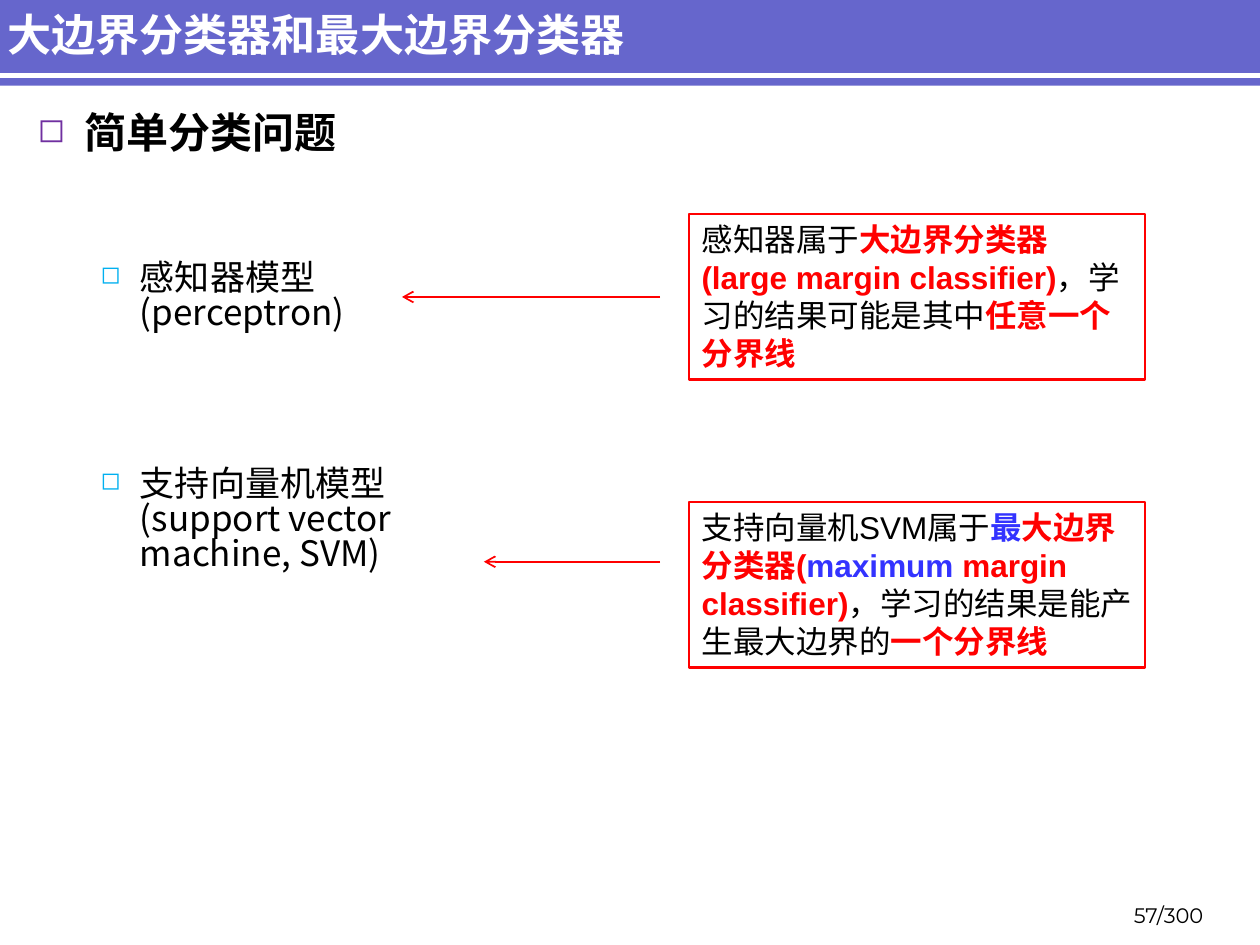
from lxml import etree
from pptx import Presentation
from pptx import util as u
from pptx.dml import color
from pptx.enum import shapes, text
from pptx.oxml import ns

Pt = u.Pt
COLORS = {"bar": "6666CC", "white": "FFFFFF", "black": "000000", "red": "FF0000",
          "blue": "3333FF", "purple": "7030A0", "sky": "00B0F0"}
CJK = "Noto Sans CJK SC"


def rgb(name):
    return color.RGBColor.from_string(COLORS[name])


def add_element(parent, tag, **attributes):
    return etree.SubElement(parent, ns.qn(tag), attributes)


def add_bullet(paragraph, bullet_color, percent, left, hanging):
    properties = paragraph._p.get_or_add_pPr()
    properties.set("marL", str(Pt(left)))
    properties.set("indent", str(-Pt(hanging)))
    fill = add_element(properties, "a:buClr")
    add_element(fill, "a:srgbClr", val=COLORS[bullet_color])
    add_element(properties, "a:buSzPct", val=str(percent * 1000))
    add_element(properties, "a:buChar", char="◻")


def write(paragraph, content, size=18, font=CJK, ink="black", bold=False):
    run = paragraph.add_run()
    run.text = content
    run.font.size = Pt(size)
    run.font.bold = bold
    run.font.color.rgb = rgb(ink)
    run.font.name = font
    add_element(run._r.get_or_add_rPr(), "a:ea", typeface=font)


def add_text_box(slide, left, top, width, height, anchor=text.MSO_ANCHOR.TOP):
    frame = slide.shapes.add_textbox(Pt(left), Pt(top), Pt(width), Pt(height)).text_frame
    frame.word_wrap = True
    frame.vertical_anchor = anchor
    return frame


def add_rectangle(slide, left, top, width, height):
    shape = slide.shapes.add_shape(shapes.MSO_SHAPE.RECTANGLE,
                                   Pt(left), Pt(top), Pt(width), Pt(height))
    shape.shadow.inherit = False
    return shape


def add_line(slide, start_x, end_x, y, ink, width, arrow=False):
    line = slide.shapes.add_connector(shapes.MSO_CONNECTOR.STRAIGHT,
                                      Pt(start_x), Pt(y), Pt(end_x), Pt(y))
    line.line.color.rgb = rgb(ink)
    line.line.width = Pt(width)
    if arrow:
        add_element(line.line._get_or_add_ln(), "a:tailEnd", type="arrow")
    add_element(line._element.spPr, "a:effectLst")


def add_title_bar(slide, left, top, width, height, title):
    bar = add_rectangle(slide, left, top, width, height)
    bar.fill.solid()
    bar.fill.fore_color.rgb = rgb("bar")
    bar.line.fill.background()
    add_line(slide, left, left + width, top + 45.4, "white", 3)
    frame = add_text_box(slide, left, top + 5.8, 631.4, 31, text.MSO_ANCHOR.MIDDLE)
    write(frame.paragraphs[0], title, size=25.2, ink="white", bold=True)


def add_outline(slide, left, top, width, height, heading, items):
    frame = add_text_box(slide, left, top, width, height)
    paragraph = frame.paragraphs[0]
    paragraph.line_spacing = 0.9
    add_bullet(paragraph, "purple", 80, left=27, hanging=27)
    write(paragraph, heading, size=24, bold=True)
    for content, gap in items:
        paragraph = frame.add_paragraph()
        paragraph.level = 1
        paragraph.line_spacing = 0.83
        paragraph.space_before = Pt(gap)
        add_bullet(paragraph, "sky", 70, left=58.5, hanging=22.5)
        write(paragraph, content, size=20)


def add_callout(slide, left, top, width, height, pieces, arrow_tip, arrow_y):
    """Red box of text; coloured pieces are bold. An arrow points left from it."""
    box = add_rectangle(slide, left, top, width, height)
    box.fill.background()
    box.line.color.rgb = rgb("red")
    box.line.width = Pt(1.25)
    frame = box.text_frame
    frame.word_wrap = True
    frame.auto_size = text.MSO_AUTO_SIZE.SHAPE_TO_FIT_TEXT
    frame.vertical_anchor = text.MSO_ANCHOR.TOP
    paragraph = frame.paragraphs[0]
    paragraph.alignment = text.PP_ALIGN.LEFT
    for content, ink in pieces:
        write(paragraph, content, font="Arial", ink=ink, bold=ink != "black")
    add_line(slide, left - 16.6, arrow_tip, top + arrow_y, "red", 1, arrow=True)


def add_page_number(slide, left, top, width, height, content):
    frame = add_text_box(slide, left, top, width, height, text.MSO_ANCHOR.BOTTOM)
    frame.paragraphs[0].alignment = text.PP_ALIGN.RIGHT
    write(frame.paragraphs[0], content, size=12, font="Montserrat")


def main():
    presentation = Presentation()
    presentation.slide_width, presentation.slide_height = Pt(720), Pt(540)
    slide = presentation.slides.add_slide(presentation.slide_layouts[6])

    # Title and outline
    add_title_bar(slide, -2.9, -2.2, 722.9, 51.1, "大边界分类器和最大边界分类器")
    add_outline(slide, 14.4, 60.5, 232.6, 442, "简单分类问题", [
        ("感知器模型(perceptron)", 60),
        ("支持向量机模型(support vector machine, SVM)", 78),
    ])

    # Callouts with their arrows
    add_callout(slide, 393.8, 122.4, 260.6, 94.5, [
        ("感知器属于", "black"),
        ("大边界分类器(large margin classifier)", "red"),
        ("，学习的结果可能是其中", "black"),
        ("任意一个分界线", "red"),
    ], arrow_tip=229.7, arrow_y=47.3)
    add_callout(slide, 393.8, 287, 260.6, 94.5, [
        ("支持向量机SVM属于", "black"),
        ("最", "blue"),
        ("大边界分类器(", "red"),
        ("maximum", "blue"),
        (" margin classifier)", "red"),
        ("，学习的结果是能产生最大边界的", "black"),
        ("一个分界线", "red"),
    ], arrow_tip=276.5, arrow_y=34)

    add_page_number(slide, 619.9, 508.3, 74.9, 25.2, "57/300")
    presentation.save("out.pptx")


if __name__ == "__main__":
    main()
